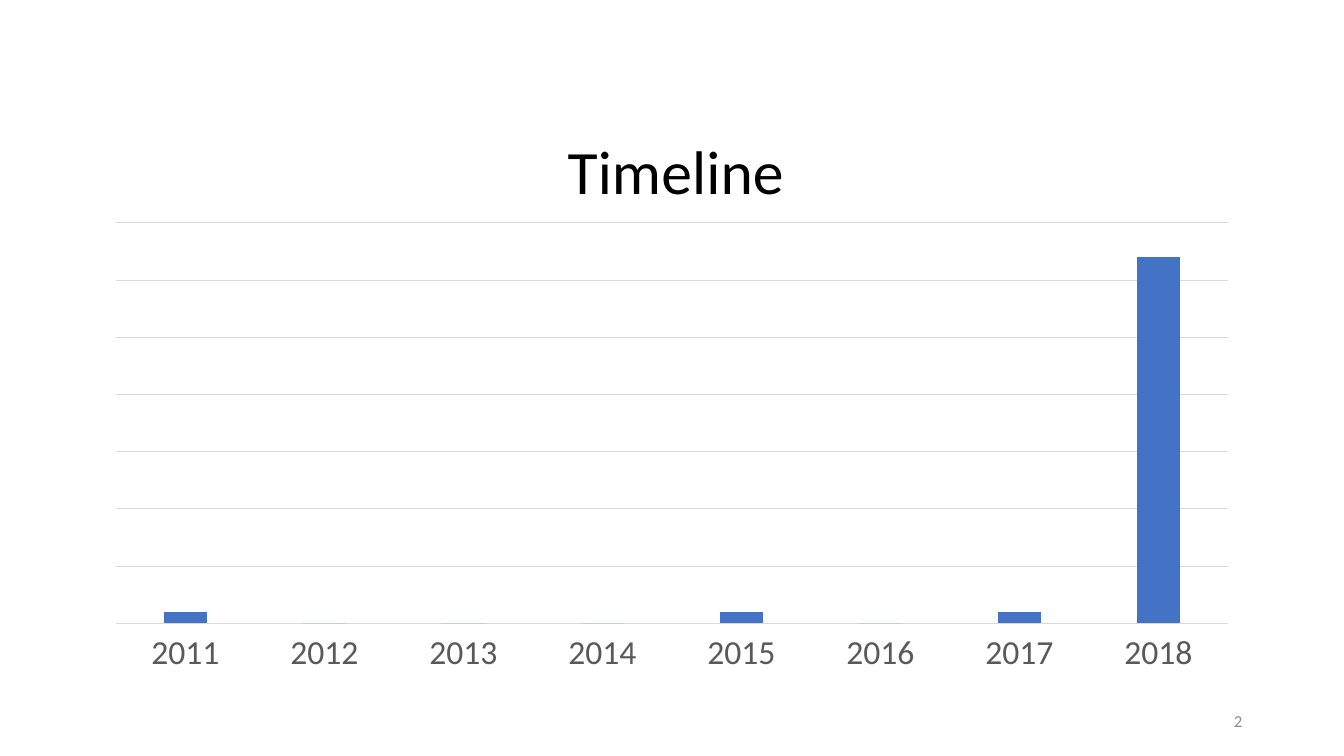
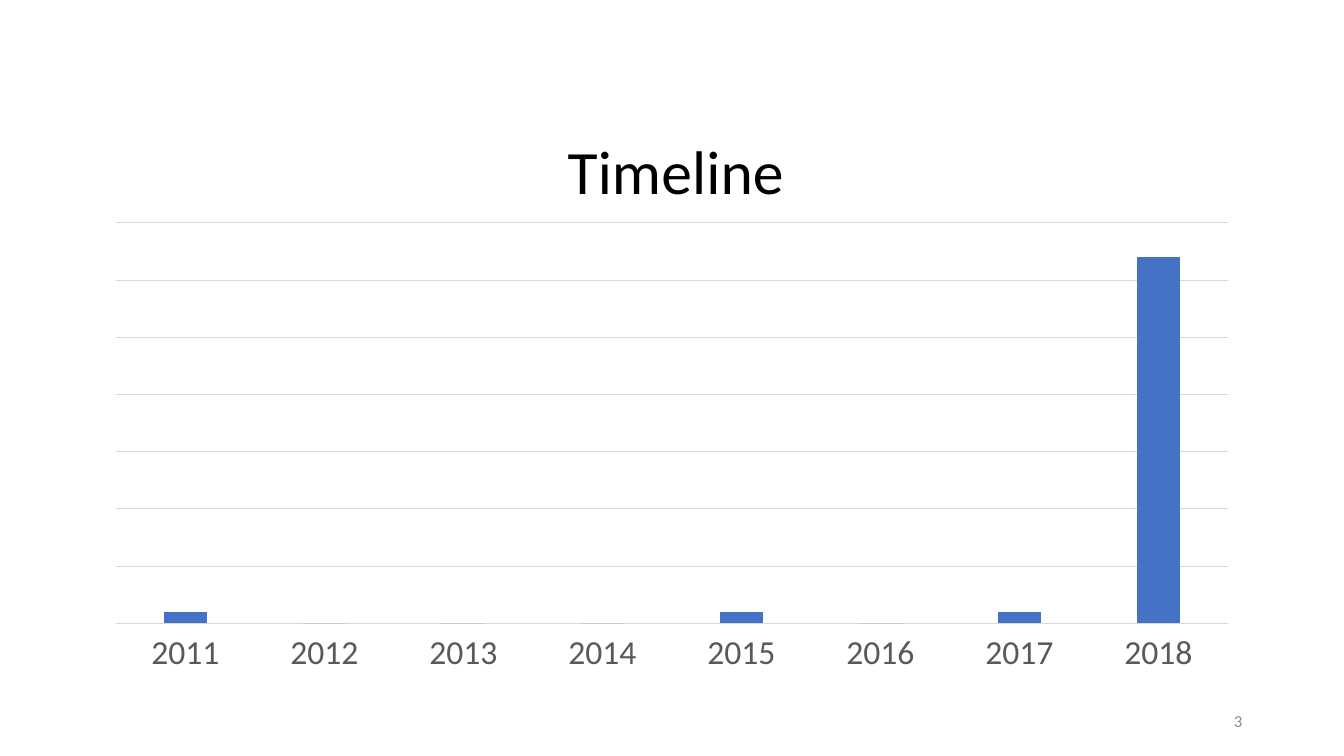
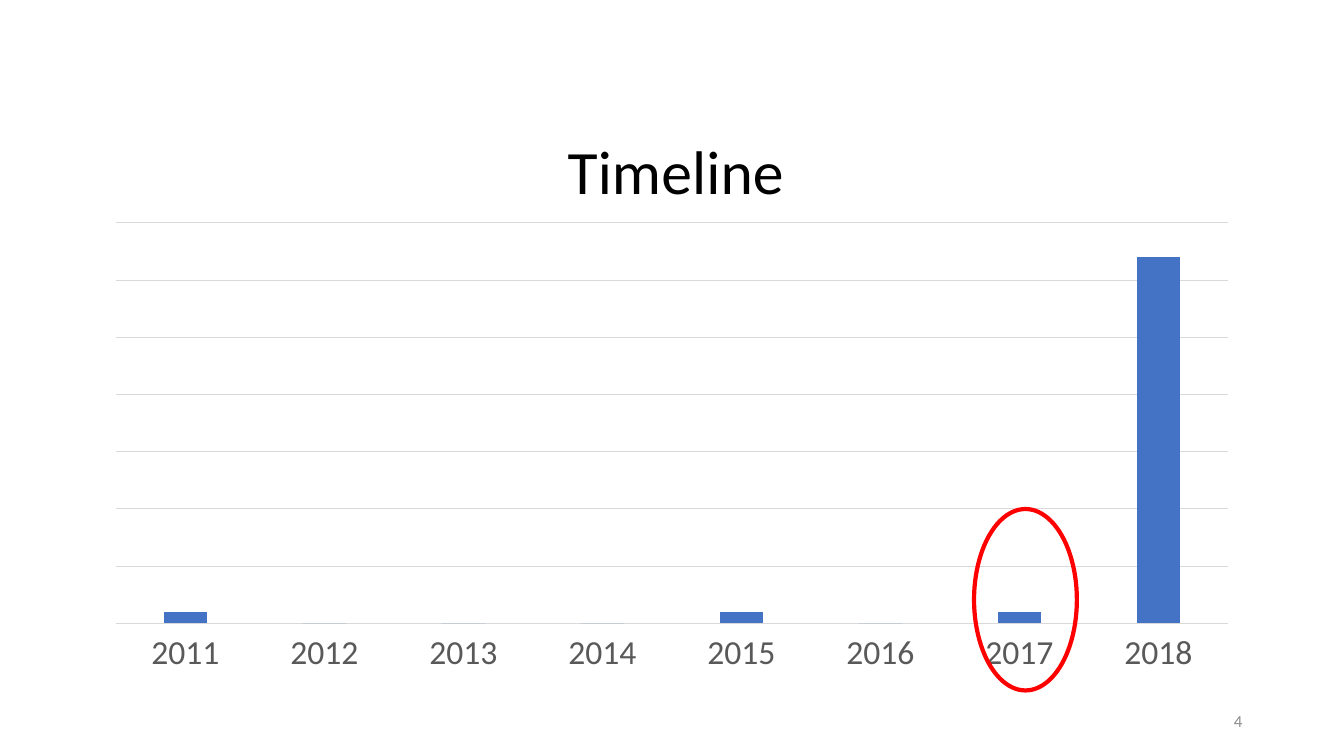
from lxml import etree
from pptx import Presentation
from pptx.chart.data import CategoryChartData
from pptx.dml.color import RGBColor
from pptx.enum.chart import XL_CHART_TYPE, XL_TICK_LABEL_POSITION, XL_TICK_MARK
from pptx.enum.shapes import MSO_SHAPE
from pptx.enum.text import MSO_ANCHOR, PP_ALIGN
from pptx.oxml.ns import qn
from pptx.util import Inches, Pt

COLUMNS = XL_CHART_TYPE.COLUMN_CLUSTERED
NO_TICK = XL_TICK_MARK.NONE
LABELS_LOW = XL_TICK_LABEL_POSITION.LOW
OVAL = MSO_SHAPE.OVAL
MIDDLE = MSO_ANCHOR.MIDDLE
RIGHT = PP_ALIGN.RIGHT

BLACK = RGBColor(0x00, 0x00, 0x00)
BLUE = RGBColor(0x44, 0x72, 0xC4)
RED = RGBColor(0xFF, 0x00, 0x00)
LABEL_GRAY = RGBColor(0x59, 0x59, 0x59)
GRID_GRAY = RGBColor(0xD9, 0xD9, 0xD9)
NUMBER_GRAY = RGBColor(0x8C, 0x8C, 0x8C)
FONT = "Calibri"

TITLE = "Timeline"
TIMELINE = {"2011": 3, "2012": 0, "2013": 0, "2014": 0,
            "2015": 3, "2016": 0, "2017": 3, "2018": 100}
SLIDES = [{"number": 2, "circled": None},
          {"number": 3, "circled": None},
          {"number": 4, "circled": "2017"}]

WIDTH, HEIGHT = 13.33, 7.5
MARGIN = 0.92
CHART_TOP, CHART_WIDTH, CHART_HEIGHT = 0.81, 11.5, 5.94
NUMBER_TOP, NUMBER_WIDTH, NUMBER_HEIGHT = 6.95, 3, 0.4
GRID_STEP, GRID_ROWS = 15.63, 7
TITLE_SPOT = {"x": 0.4, "y": 0.06}
PLOT_AREA = {"x": 0.02, "y": 0.236, "w": 0.959, "h": 0.669}
CIRCLE_WIDTH, CIRCLE_HEIGHT, CIRCLE_TOP, CIRCLE_SHIFT = 1.02, 1.8, 5.05, 0.06


def style_font(font, size, color):
    font.name = FONT
    font.size = Pt(size)
    font.bold = False
    font.color.rgb = color


def style_line(line, color, width):
    line.color.rgb = color
    line.width = Pt(width)


def place(parent, spot, inner=False):
    for old in parent.findall(qn("c:layout")):
        parent.remove(old)
    layout = etree.Element(qn("c:layout"))
    manual = etree.SubElement(layout, qn("c:manualLayout"))
    settings = [("layoutTarget", "inner")] if inner else []
    settings += [("xMode", "edge"), ("yMode", "edge"), *spot.items()]
    for tag, value in settings:
        etree.SubElement(manual, qn("c:" + tag)).set("val", str(value))
    text = parent.find(qn("c:tx"))
    parent.insert(0 if text is None else 1, layout)


def add_timeline(slide):
    data = CategoryChartData()
    data.categories = list(TIMELINE)
    data.add_series("Series 1", list(TIMELINE.values()))
    chart = slide.shapes.add_chart(
        COLUMNS, Inches(MARGIN), Inches(CHART_TOP),
        Inches(CHART_WIDTH), Inches(CHART_HEIGHT), data).chart
    style_font(chart.font, 10, BLACK)
    chart.has_legend = False

    chart.has_title = True
    heading = chart.chart_title.text_frame
    heading.text = TITLE
    style_font(heading.paragraphs[0].runs[0].font, 44, BLACK)
    chart.chart_title.include_in_layout = False
    place(chart.chart_title._element, TITLE_SPOT)
    place(chart._chartSpace.chart.plotArea, PLOT_AREA, inner=True)

    years = chart.category_axis
    years.major_tick_mark = years.minor_tick_mark = NO_TICK
    years.tick_label_position = LABELS_LOW
    style_font(years.tick_labels.font, 24, LABEL_GRAY)
    style_line(years.format.line, GRID_GRAY, 0.75)

    scale = chart.value_axis
    scale.visible = False
    scale.minimum_scale = 0
    scale.maximum_scale = GRID_STEP * GRID_ROWS
    scale.major_unit = GRID_STEP
    scale.has_major_gridlines = True
    style_line(scale.major_gridlines.format.line, GRID_GRAY, 0.75)

    bars = chart.plots[0]
    bars.gap_width = 219
    bars.overlap = -27
    bars.vary_by_categories = False
    bars.series[0].format.fill.solid()
    bars.series[0].format.fill.fore_color.rgb = BLUE


def add_number(slide, number):
    frame = slide.shapes.add_textbox(
        Inches(MARGIN + CHART_WIDTH - NUMBER_WIDTH), Inches(NUMBER_TOP),
        Inches(NUMBER_WIDTH), Inches(NUMBER_HEIGHT)).text_frame
    frame.word_wrap = True
    frame.vertical_anchor = MIDDLE
    frame.text = str(number)
    frame.paragraphs[0].alignment = RIGHT
    style_font(frame.paragraphs[0].runs[0].font, 12, NUMBER_GRAY)


def circle_year(slide, year):
    column = CHART_WIDTH * PLOT_AREA["w"] / len(TIMELINE)
    plot_left = MARGIN + CHART_WIDTH * PLOT_AREA["x"]
    center = plot_left + column * (list(TIMELINE).index(year) + 0.5) + CIRCLE_SHIFT
    circle = slide.shapes.add_shape(
        OVAL, Inches(center - CIRCLE_WIDTH / 2), Inches(CIRCLE_TOP),
        Inches(CIRCLE_WIDTH), Inches(CIRCLE_HEIGHT))
    circle.shadow.inherit = False
    circle.fill.background()
    style_line(circle.line, RED, 3)


def main():
    deck = Presentation()
    deck.slide_width, deck.slide_height = Inches(WIDTH), Inches(HEIGHT)
    blank = deck.slide_layouts[6]
    for page in SLIDES:
        slide = deck.slides.add_slide(blank)
        add_timeline(slide)
        add_number(slide, page["number"])
        if page["circled"]:
            circle_year(slide, page["circled"])
    deck.save("out.pptx")


if __name__ == "__main__":
    main()
